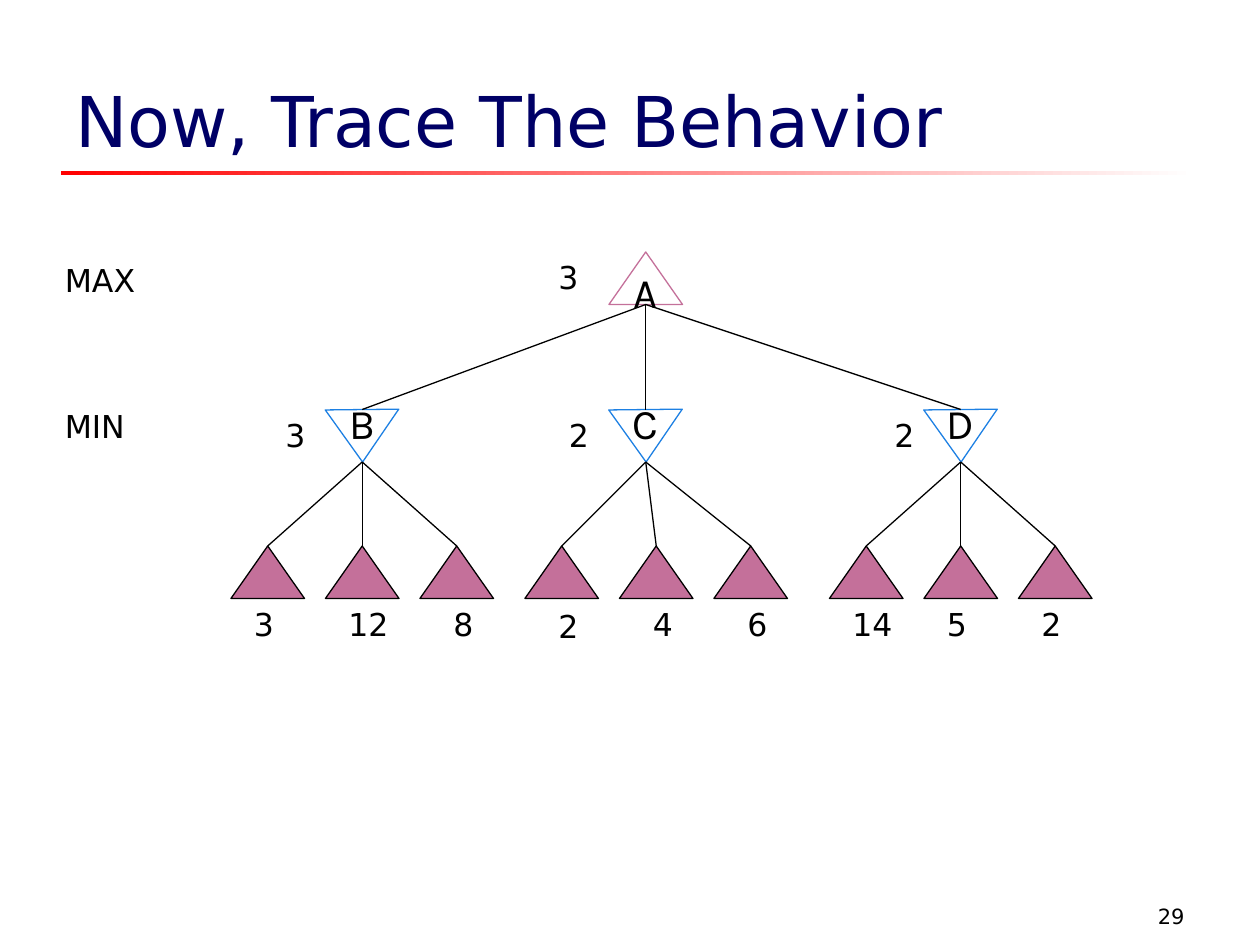
from dataclasses import dataclass

from pptx import Presentation
from pptx.dml.color import RGBColor
from pptx.enum.shapes import MSO_CONNECTOR, MSO_SHAPE
from pptx.enum.text import MSO_ANCHOR, PP_ALIGN
from pptx.oxml.ns import qn
from pptx.util import Pt
from lxml import etree

TRIANGLE, RECT = MSO_SHAPE.ISOSCELES_TRIANGLE, MSO_SHAPE.RECTANGLE
STRAIGHT = MSO_CONNECTOR.STRAIGHT
TOP, MIDDLE, BOTTOM = MSO_ANCHOR.TOP, MSO_ANCHOR.MIDDLE, MSO_ANCHOR.BOTTOM
LEFT, CENTER, RIGHT = PP_ALIGN.LEFT, PP_ALIGN.CENTER, PP_ALIGN.RIGHT


@dataclass(frozen=True)
class Theme:
    title: RGBColor = RGBColor(0x00, 0x00, 0x66)
    ink: RGBColor = RGBColor(0, 0, 0)
    red: RGBColor = RGBColor(0xFF, 0, 0)
    white: RGBColor = RGBColor(0xFF, 0xFF, 0xFF)
    pink: RGBColor = RGBColor(0xC4, 0x70, 0x9A)
    blue: RGBColor = RGBColor(0x1D, 0x80, 0xE3)
    font: str = "DejaVu Sans"
    node_font: str = "Karla"
    title_size: int = 40
    node_size: int = 24
    label_size: int = 18
    number_size: int = 12
    line_width: float = 0.75


@dataclass(frozen=True)
class Leaf:
    value: str
    label_dx: float = 6
    label_dy: float = 0


@dataclass(frozen=True)
class MinNode:
    name: str
    value: str
    left: float
    value_dx: float
    leaf_left: float
    leaves: tuple[Leaf, ...]


THEME = Theme()

# Tree geometry in points
NODE_W, NODE_H = 42, 30
ROOT_LEFT, ROOT_TOP = 348, 144
MIN_TOP, LEAF_TOP = 234, 312
LEAF_STEP = 54
LABEL_W, LABEL_H = 42, 29

MIN_NODES = (
    MinNode("B", "3", 186, -30, 132, (Leaf("3"), Leaf("12"), Leaf("8", 12))),
    MinNode("C", "2", 348, -30, 300,
            (Leaf("2", 12, 1.5), Leaf("4", 12), Leaf("6", 12))),
    MinNode("D", "2", 528, -24, 474, (Leaf("14"), Leaf("5"), Leaf("2"))),
)


def write(sp, text: str, size: float, name: str, color: RGBColor,
          align=LEFT, anchor=TOP, wrap: bool = True) -> None:
    tf = sp.text_frame
    for key, value in {"word_wrap": wrap, "vertical_anchor": anchor}.items():
        setattr(tf, key, value)
    p = tf.paragraphs[0]
    p.alignment = align
    r = p.add_run()
    r.text = text
    for key, value in {"size": Pt(size), "name": name}.items():
        setattr(r.font, key, value)
    r.font.color.rgb = color


def add_text(s, text: str, x: float, y: float, w: float = LABEL_W,
             h: float = LABEL_H, size: float = THEME.label_size,
             color: RGBColor = THEME.ink, align=LEFT, anchor=TOP) -> None:
    sp = s.shapes.add_textbox(Pt(x), Pt(y), Pt(w), Pt(h))
    write(sp, text, size, THEME.font, color, align, anchor)


def add_triangle(s, x: float, y: float, line: RGBColor,
                 fill: RGBColor | None = None, name: str = "",
                 inverted: bool = False) -> None:
    sp = s.shapes.add_shape(TRIANGLE, Pt(x), Pt(y), Pt(NODE_W), Pt(NODE_H))
    sp.shadow.inherit = False
    if fill is None:
        sp.fill.background()
    else:
        sp.fill.solid()
        sp.fill.fore_color.rgb = fill
    sp.line.color.rgb = line
    sp.line.width = Pt(THEME.line_width)
    if name:
        write(sp, name, THEME.node_size, THEME.node_font, THEME.ink,
              CENTER, MIDDLE, wrap=False)
    if inverted:
        sp.rotation = 179.4
        # Turn the text back upright
        sp.text_frame._txBody.bodyPr.set("rot", "10800000")


def add_edge(s, x1: float, y1: float, x2: float, y2: float) -> None:
    sp = s.shapes.add_connector(STRAIGHT, Pt(x1), Pt(y1), Pt(x2), Pt(y2))
    sp.line.color.rgb = THEME.ink
    sp.line.width = Pt(THEME.line_width)
    etree.SubElement(sp._element.spPr, qn("a:effectLst"))


def add_rule(s) -> None:
    sp = s.shapes.add_shape(RECT, Pt(34.8), Pt(97.8), Pt(648), Pt(2.3))
    sp.shadow.inherit = False
    sp.line.fill.background()
    sp.fill.gradient()
    sp.fill.gradient_angle = 0
    for stop, color in zip(sp.fill.gradient_stops, (THEME.red, THEME.white)):
        stop.color.rgb = color


def add_branch(s, node: MinNode) -> None:
    mid = node.left + NODE_W / 2
    add_triangle(s, node.left, MIN_TOP, THEME.blue, name=node.name,
                 inverted=True)
    add_text(s, node.value, node.left + node.value_dx, MIN_TOP)
    add_edge(s, ROOT_LEFT + NODE_W / 2, ROOT_TOP + NODE_H, mid, MIN_TOP)
    for i, leaf in enumerate(node.leaves):
        x = node.leaf_left + i * LEAF_STEP
        add_triangle(s, x, LEAF_TOP, THEME.ink, THEME.pink)
        add_edge(s, mid, MIN_TOP + NODE_H, x + NODE_W / 2, LEAF_TOP)
        add_text(s, leaf.value, x + leaf.label_dx,
                 LEAF_TOP + NODE_H + leaf.label_dy)


def main() -> None:
    prs = Presentation()
    prs.slide_width, prs.slide_height = Pt(720), Pt(540)
    s = prs.slides.add_slide(prs.slide_layouts[6])

    # Title, rule and slide number
    add_rule(s)
    add_text(s, "Now, Trace The Behavior", 36, 6, 668, 90,
             THEME.title_size, THEME.title, anchor=BOTTOM)
    add_text(s, "29", 534, 498, 150, 36, THEME.number_size,
             align=RIGHT, anchor=BOTTOM)

    # Level names
    add_text(s, "MAX", 30, 145.5, 108)
    add_text(s, "MIN", 30, 229, 108)

    # Game tree
    add_triangle(s, ROOT_LEFT, ROOT_TOP, THEME.pink, name="A")
    add_text(s, "3", ROOT_LEFT - 36, ROOT_TOP)
    for node in MIN_NODES:
        add_branch(s, node)

    prs.save("out.pptx")


if __name__ == "__main__":
    main()
